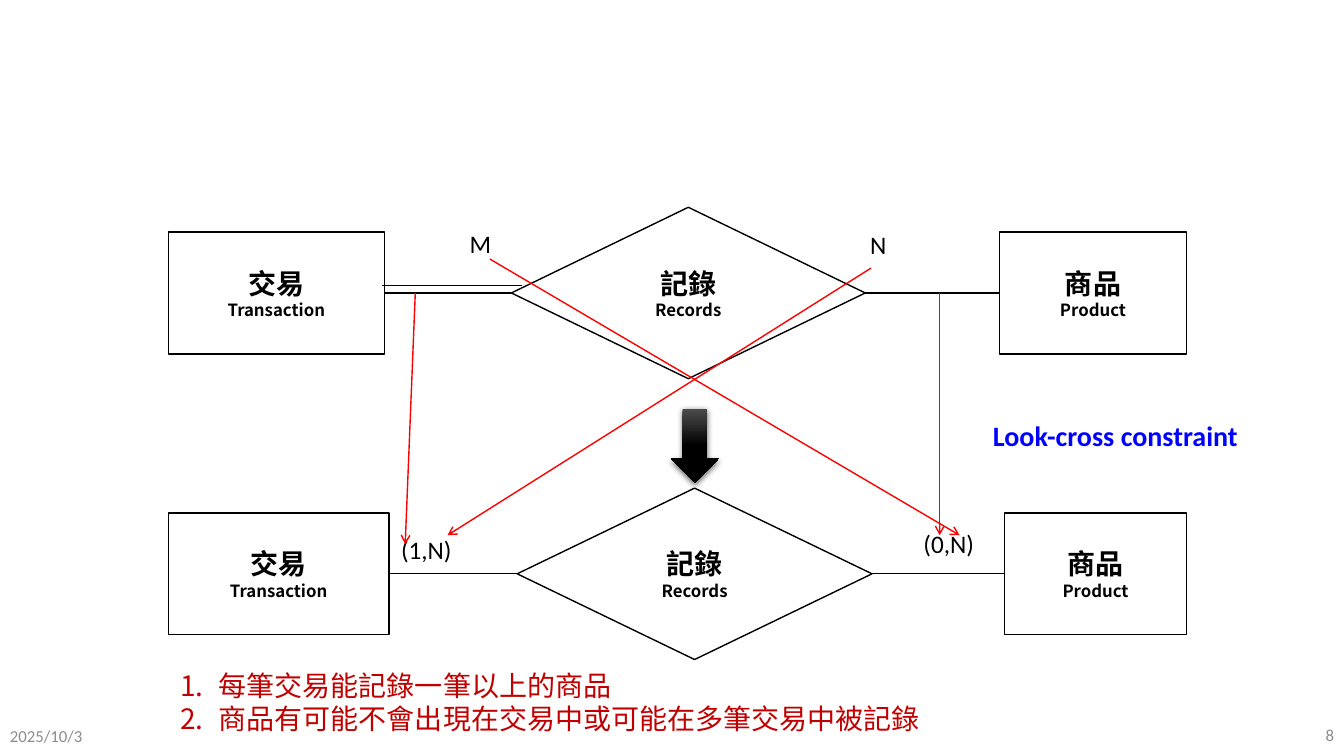
from lxml import etree
from pptx import Presentation
from pptx import util as u
from pptx.dml import color
from pptx.enum import shapes, text
from pptx.oxml import ns

LATIN, ASIAN = "Calibri", "Noto Sans CJK SC"
BLACK, WHITE, RED, GREY = "000000", "FFFFFF", "FF0000", "8C8C8C"


def rgb(value):
    return color.RGBColor.from_string(value)


def add_xml(parent, tag, **attributes):
    return etree.SubElement(parent, ns.qn(tag), attributes)


class Diagram:
    def __init__(self, presentation):
        self.width = presentation.slide_width
        self.height = presentation.slide_height
        self.slide = presentation.slides.add_slide(presentation.slide_layouts[6])

    def place(self, x, y):
        return round(self.width * x / 100), round(self.height * y / 100)

    def style(self, paragraph, size, ink, bold=False, font=LATIN):
        for run in paragraph.runs:
            run.font.size = u.Pt(size)
            run.font.bold = bold
            run.font.name = font
            run.font.color.rgb = rgb(ink)
            add_xml(run.font._element, "a:ea", typeface=ASIAN)

    def preset(self, kind, left, top, width, height):
        shape = self.slide.shapes.add_shape(
            kind, *self.place(left, top), *self.place(width, height))
        shape.shadow.inherit = False
        return shape

    def node(self, kind, left, right, middle, height, name, english):
        shape = self.preset(kind, left, middle - height / 2, right - left, height)
        shape.fill.solid()
        shape.fill.fore_color.rgb = rgb(WHITE)
        shape.line.color.rgb = rgb(BLACK)
        shape.line.width = u.Pt(1)
        frame = shape.text_frame
        frame.text = f"{name}\n{english}"
        frame.vertical_anchor = text.MSO_ANCHOR.MIDDLE
        for paragraph, size in zip(frame.paragraphs, (20, 12)):
            paragraph.alignment = text.PP_ALIGN.CENTER
            self.style(paragraph, size, BLACK, True, ASIAN)

    def line(self, start, end, ink=BLACK, arrow=False):
        connector = self.slide.shapes.add_connector(
            shapes.MSO_CONNECTOR.STRAIGHT, *self.place(*start), *self.place(*end))
        connector.line.color.rgb = rgb(ink)
        connector.line.width = u.Pt(1)
        if arrow:
            add_xml(connector.line._get_or_add_ln(), "a:tailEnd", type="arrow")
        add_xml(connector._element.spPr, "a:effectLst")

    def label(self, words, box, size=18, ink=BLACK, bold=False, wrap=True,
              anchor=text.MSO_ANCHOR.TOP, align=text.PP_ALIGN.LEFT):
        left, top, width, height = box
        shape = self.slide.shapes.add_textbox(
            *self.place(left, top), *self.place(width, height))
        frame = shape.text_frame
        frame.text = words
        frame.word_wrap = wrap
        frame.vertical_anchor = anchor
        for paragraph in frame.paragraphs:
            paragraph.alignment = align
            self.style(paragraph, size, ink, bold)
        return frame

    def numbered(self, words, box, size, ink):
        frame = self.label(words, box, size, ink, wrap=False)
        indent = u.Inches(0.38)
        for paragraph in frame.paragraphs:
            properties = paragraph._p.get_or_add_pPr()
            properties.set("marL", str(indent))
            properties.set("indent", str(-indent))
            add_xml(properties, "a:buAutoNum", type="arabicPeriod")

    def block_arrow(self, left, top, width, height):
        shape = self.preset(shapes.MSO_SHAPE.DOWN_ARROW, left, top, width, height)
        shape.line.fill.background()
        shape.fill.gradient()
        shape.fill.gradient_angle = 270
        for stop, ink, position in zip(
                shape.fill.gradient_stops, ("4B4B4B", BLACK), (0, 0.5)):
            stop.color.rgb = rgb(ink)
            stop.position = position
        effects = shape._element.spPr.find(ns.qn("a:effectLst"))
        shadow = add_xml(effects, "a:outerShdw", blurRad=str(u.Pt(4.5)),
                         dist=str(u.Pt(1.5)), dir="5400000", rotWithShape="0")
        ink = add_xml(shadow, "a:srgbClr", val=BLACK)
        add_xml(ink, "a:alpha", val="63000")

    def relation(self, middle, edges):
        rectangle, diamond = shapes.MSO_SHAPE.RECTANGLE, shapes.MSO_SHAPE.DIAMOND
        first, second, third = edges
        self.node(rectangle, *first, middle, 16.13, "交易", "Transaction")
        self.node(rectangle, *third, middle, 16.13, "商品", "Product")
        self.node(diamond, *second, middle, 22.67, "記錄", "Records")
        for before, after in ((first, second), (second, third)):
            self.line((before[1], middle), (after[0], middle))


def main():
    presentation = Presentation()
    presentation.slide_width = u.Inches(13.33)
    presentation.slide_height = u.Inches(7.5)
    diagram = Diagram(presentation)
    upper, lower, tip = 38.75, 75.9, 70.8

    diagram.relation(upper, ((12.53, 28.6), (38.05, 64.38), (74.35, 88.3)))
    diagram.relation(lower, ((12.53, 28.95), (38.48, 64.88), (74.73, 88.3)))
    for words, left, top, width in (
            ("M", 34.2, 29.6, 3.9), ("N", 64, 29.73, 3.9),
            ("(1,N)", 29.1, 70, 7.58), ("(0,N)", 67.97, 69.2, 7.58)):
        diagram.label(words, (left, top, width, 8.27))
    for start, end in (
            ((30.9, upper), (30.15, 72)), ((69.92, upper), (69.92, tip)),
            ((36.45, 34.27), (71.4, tip)), ((64.8, 35.47), (33.3, tip))):
        diagram.line(start, end, RED, arrow=True)
    diagram.block_arrow(49.9, 54.13, 3.6, 9.73)
    diagram.line((28.43, 37.73), (38.86, 37.73))

    middle = text.MSO_ANCHOR.MIDDLE
    diagram.label("8", (77.5, 94.53, 22.5, 5.33), 12, GREY,
                  anchor=middle, align=text.PP_ALIGN.RIGHT)
    diagram.label("2025/10/3", (0, 94.67, 22.5, 5.33), 12, GREY, anchor=middle)
    diagram.numbered("每筆交易能記錄一筆以上的商品\n"
                     "商品有可能不會出現在交易中或可能在多筆交易中被記錄",
                     (12.68, 87.73, 56.93, 10.27), 20, "C00000")
    diagram.label("Look-cross constraint", (73.14, 54.67, 19.95, 5.87),
                  20, "0000FF", bold=True, wrap=False)
    presentation.save("out.pptx")


if __name__ == "__main__":
    main()
